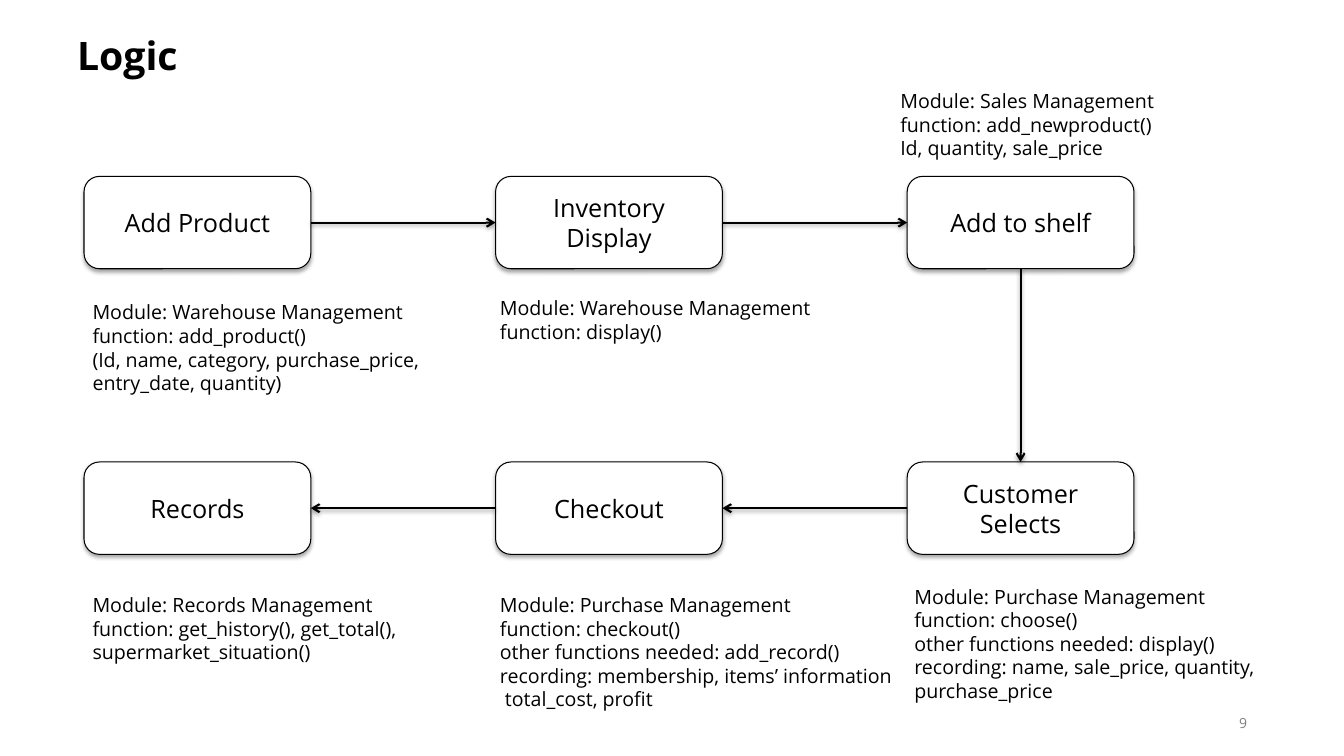
from pptx import Presentation
from pptx.dml.color import RGBColor
from pptx.enum.shapes import MSO_CONNECTOR, MSO_SHAPE
from pptx.enum.text import MSO_ANCHOR, PP_ALIGN
from pptx.oxml import parse_xml
from pptx.oxml.ns import nsdecls
from pptx.util import Pt

ROUND = MSO_SHAPE.ROUNDED_RECTANGLE
LINE = MSO_CONNECTOR.STRAIGHT
TOP, MID = MSO_ANCHOR.TOP, MSO_ANCHOR.MIDDLE
LEFT, CENTER = PP_ALIGN.LEFT, PP_ALIGN.CENTER
NORTH, WEST, SOUTH, EAST = range(4)

FONT = "Open Sans"
COLORS = {"ink": "000000", "paper": "FFFFFF", "muted": "808080"}
WIDE, HIGH = 960, 540

# label, column, row
STEPS = [
    ("Add Product", 0, 0),
    ("Inventory Display", 1, 0),
    ("Add to shelf", 2, 0),
    ("Customer Selects", 2, 1),
    ("Checkout", 1, 1),
    ("Records", 0, 1),
]

# exit and entry side of each arrow, in step order
SIDES = [(EAST, WEST), (EAST, WEST), (SOUTH, NORTH), (WEST, EAST), (WEST, EAST)]

# left, top, width, height, lines
NOTES = [
    (59, 211, 320, 75, [
        "Module: Warehouse Management",
        "function: add_product()",
        "(Id, name, category, purchase_price, entry_date, quantity)"]),
    (350, 208, 320, 41, [
        "Module: Warehouse Management",
        "function: display()"]),
    (636, 60, 480, 58, [
        "Module: Sales Management",
        "function: add_newproduct()",
        "Id, quantity, sale_price"]),
    (646, 414, 480, 92, [
        "Module: Purchase Management",
        "function: choose()",
        "other functions needed: display()",
        "recording: name, sale_price, quantity,",
        "purchase_price"]),
    (350, 420, 480, 92, [
        "Module: Purchase Management",
        "function: checkout()",
        "other functions needed: add_record()",
        "recording: membership, items’ information",
        " total_cost, profit"]),
    (59, 420, 480, 75, [
        "Module: Records Management",
        "function: get_history(), get_total(),",
        "supermarket_situation()"]),
]

GRID = {"left": 60, "top": 126, "dx": 294, "dy": 204, "w": 162, "h": 66}
LEAD = 1.2


def color(name):
    return RGBColor.from_string(COLORS[name])


def write(shape, lines, size, align=LEFT, anchor=TOP, ink="ink", bold=False):
    frame = shape.text_frame
    frame.word_wrap = True
    frame.vertical_anchor = anchor
    frame.text = "\n".join(lines)
    look = {"name": FONT, "size": Pt(size), "bold": bold}
    for para in frame.paragraphs:
        para.alignment = align
        para.line_spacing = Pt(size * LEAD)
        for key, value in look.items():
            setattr(para.font, key, value)
        para.font.color.rgb = color(ink)


def add_text(slide, box, lines, size, **look):
    shape = slide.shapes.add_textbox(*map(Pt, box))
    write(shape, lines, size, **look)


def shade(shape, alpha, dist):
    """Give the shape a soft shadow straight below it; alpha is in percent."""
    props = shape._element.spPr
    props.append(parse_xml(
        f'<a:effectLst {nsdecls("a")}><a:outerShdw blurRad="{Pt(3.1)}" '
        f'dist="{Pt(dist)}" dir="5400000" rotWithShape="0">'
        f'<a:srgbClr val="{COLORS["ink"]}"><a:alpha val="{alpha * 1000}"/>'
        '</a:srgbClr></a:outerShdw></a:effectLst>'))


def add_step(slide, label, col, row):
    left = GRID["left"] + col * GRID["dx"]
    top = GRID["top"] + row * GRID["dy"]
    box = (left, top, GRID["w"], GRID["h"])
    shape = slide.shapes.add_shape(ROUND, *map(Pt, box))
    shape.fill.solid()
    shape.fill.fore_color.rgb = color("paper")
    shape.line.color.rgb = color("ink")
    shape.line.width = Pt(0.75)
    shade(shape, 35, 1.8)
    write(shape, [label], 18, align=CENTER, anchor=MID)
    return shape


def add_arrow(slide, start, end, sides):
    arrow = slide.shapes.add_connector(LINE, 0, 0, 0, 0)
    arrow.begin_connect(start, sides[0])
    arrow.end_connect(end, sides[1])
    arrow.line.color.rgb = color("ink")
    arrow.line.width = Pt(1.5)
    arrow.line._get_or_add_ln().append(
        parse_xml(f'<a:tailEnd {nsdecls("a")} type="arrow"/>'))
    shade(arrow, 38, 1.6)


def main():
    deck = Presentation()
    deck.slide_width, deck.slide_height = Pt(WIDE), Pt(HIGH)
    slide = deck.slides.add_slide(deck.slide_layouts[6])

    add_text(slide, (48, 18, 864, 42), ["Logic"], 28, anchor=MID, bold=True)
    add_text(slide, (864, 499, 48, 35), ["9"], 10,
             align=CENTER, anchor=MID, ink="muted")

    steps = [add_step(slide, *step) for step in STEPS]
    for start, end, sides in zip(steps, steps[1:], SIDES):
        add_arrow(slide, start, end, sides)

    for left, top, width, height, lines in NOTES:
        box = (left, top, min(width, WIDE - left), height)
        add_text(slide, box, lines, 14)

    deck.save("out.pptx")


if __name__ == "__main__":
    main()
